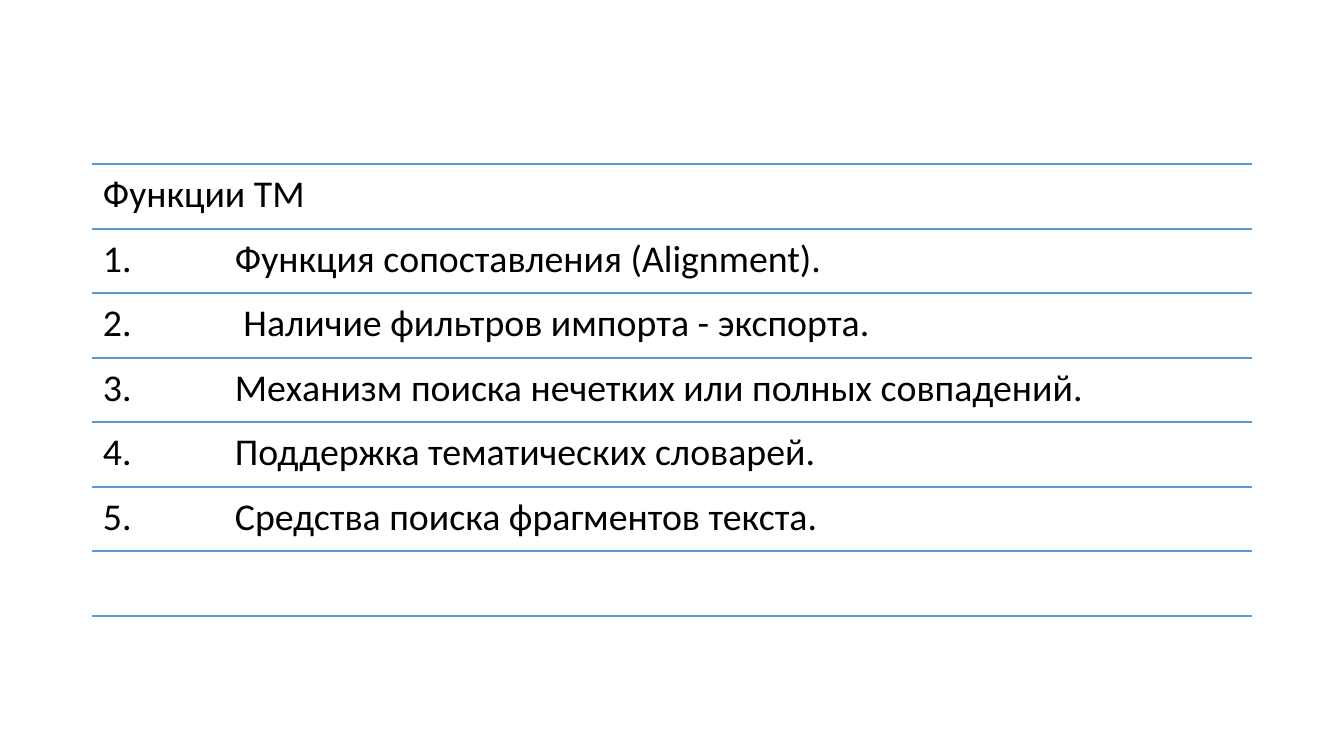
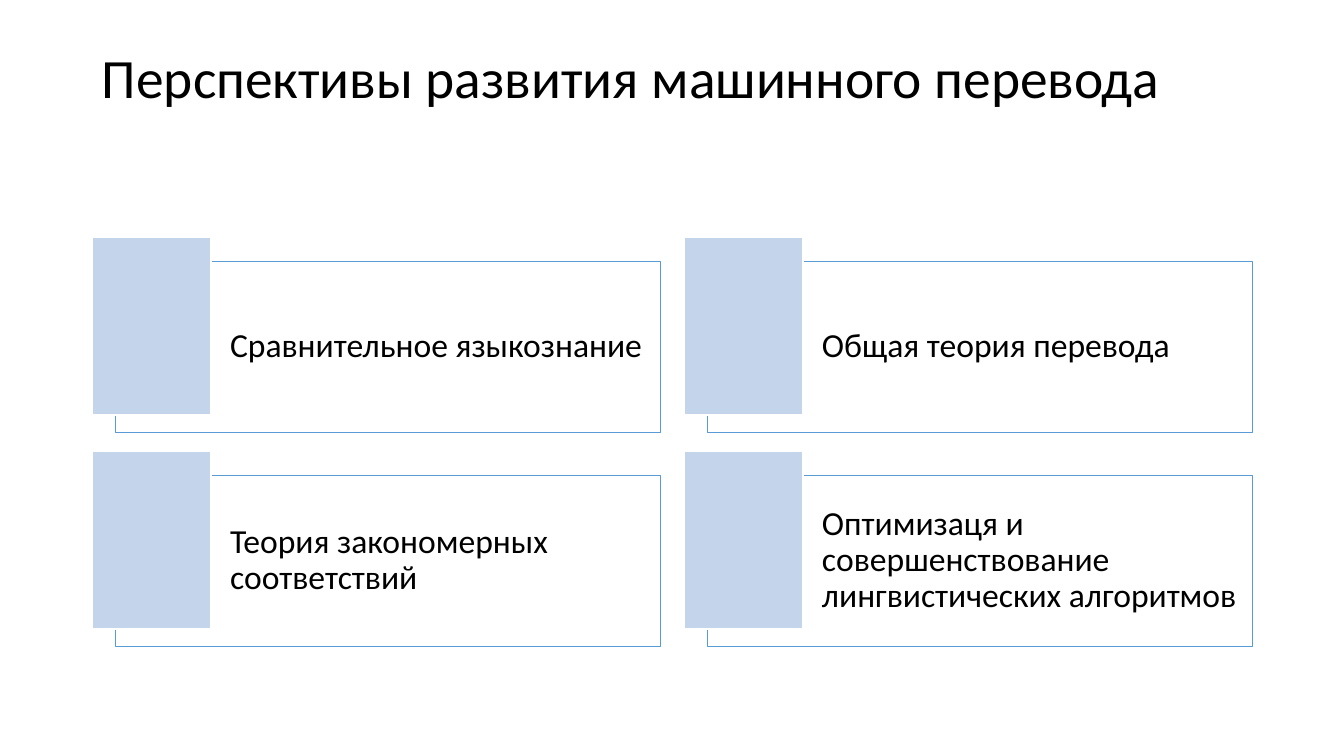
import pptx
import pptx.dml.color
import pptx.enum.shapes
import pptx.enum.text
import pptx.oxml.ns
import pptx.util
import lxml.etree

RGB = pptx.dml.color.RGBColor
ALIGN = pptx.enum.text.PP_ALIGN
ANCHOR = pptx.enum.text.MSO_ANCHOR
BLACK = RGB(0, 0, 0)
WHITE = RGB(255, 255, 255)
BLUE = RGB(0x5B, 0x9B, 0xD5)
PALE = RGB(0xC4, 0xD5, 0xEB)
LEFT, WIDE, TAB = 92, 1160, 132

ITEMS = [
    "Функции ТМ",
    "1. \tФункция сопоставления (Alignment).",
    "2.\t Наличие фильтров импорта - экспорта.",
    "3.\tМеханизм поиска нечетких или полных совпадений.",
    "4.\tПоддержка тематических словарей.",
    "5.\tСредства поиска фрагментов текста.",
]
TOPICS = [
    "Сравнительное языкознание",
    "Общая теория перевода",
    "Теория закономерных соответствий",
    "Оптимизаця и совершенствование лингвистических алгоритмов",
]


def px(size):
    return round(size * 914400 / 100.8)


def put(item, values):
    for name, value in values.items():
        setattr(item, name, value)


def child(node, tag, **values):
    return lxml.etree.SubElement(node, pptx.oxml.ns.qn(tag), **values)


class Deck:
    """Holds the shared style and the current slide."""

    font = {"name": "Calibri"}
    para = {"line_spacing": 0.9, "alignment": ALIGN.LEFT}
    frame = {"word_wrap": True, "auto_size": pptx.enum.text.MSO_AUTO_SIZE.NONE}

    def __init__(self):
        self.prs = pptx.Presentation()
        put(self.prs, {"slide_width": px(1344), "slide_height": px(756)})

    def add(self, layout):
        self.slide = self.prs.slides.add_slide(self.prs.slide_layouts[layout])

    def label(self, shape, text, size, anchor, pads):
        frame = shape.text_frame
        sides = ("margin_left", "margin_top", "margin_right", "margin_bottom")
        put(frame, self.frame | {"vertical_anchor": anchor})
        put(frame, dict(zip(sides, map(px, pads))))
        para = frame.paragraphs[0]
        run = para.add_run()
        run.text = text
        put(para, self.para)
        put(run.font, self.font | {"size": pptx.util.Pt(size)})
        run.font.color.rgb = BLACK
        return para

    def title(self, text):
        shape = self.slide.shapes.title
        put(shape, {"left": px(LEFT), "top": px(40), "width": px(WIDE), "height": px(146)})
        self.label(shape, text, 39.6, ANCHOR.TOP, (10, 11, 10, 5))

    def rule(self, top):
        ends = map(px, (LEFT, top, LEFT + WIDE, top))
        kind = pptx.enum.shapes.MSO_CONNECTOR.STRAIGHT
        line = self.slide.shapes.add_connector(kind, *ends)
        line.line.color.rgb = BLUE
        line.line.width = pptx.util.Pt(1)
        child(line._element.spPr, "a:effectLst")

    def row(self, text, top, high):
        box = self.slide.shapes.add_textbox(*map(px, (LEFT, top, WIDE, high)))
        para = self.label(box, text, 27, ANCHOR.TOP, (11,) * 4)
        if "\t" in text:
            tabs = child(para._p.get_or_add_pPr(), "a:tabLst")
            child(tabs, "a:tab", pos=str(px(TAB)), algn="l")

    def rect(self, area, fill, edge, width):
        kind = pptx.enum.shapes.MSO_SHAPE.RECTANGLE
        shape = self.slide.shapes.add_shape(kind, *map(px, area))
        shape.shadow.inherit = False
        shape.fill.solid()
        shape.fill.fore_color.rgb = fill
        shape.line.color.rgb = edge
        shape.line.width = pptx.util.Pt(width)
        return shape

    def card(self, text, left, top):
        panel = self.rect((left + 23, top + 24, 545, 171), WHITE, BLUE, 0.5)
        color = panel._element.spPr.find(".//" + pptx.oxml.ns.qn("a:srgbClr"))
        child(color, "a:alpha", val="40000")
        self.label(panel, text, 24, ANCHOR.MIDDLE, (115, 10, 10, 10))
        self.rect((left, top, 119, 178), PALE, WHITE, 1)


deck = Deck()

deck.add(6)
tops = [164 + round(452 * i / 7) for i in range(8)]
for top in tops:
    deck.rule(top)
for text, top in zip(ITEMS, tops):
    deck.row(text, top, 65)

deck.add(5)
deck.title("Перспективы развития машинного перевода")
for i, text in enumerate(TOPICS):
    row, col = divmod(i, 2)
    deck.card(text, LEFT + 592 * col, 237 + 214 * row)

deck.prs.save("out.pptx")
